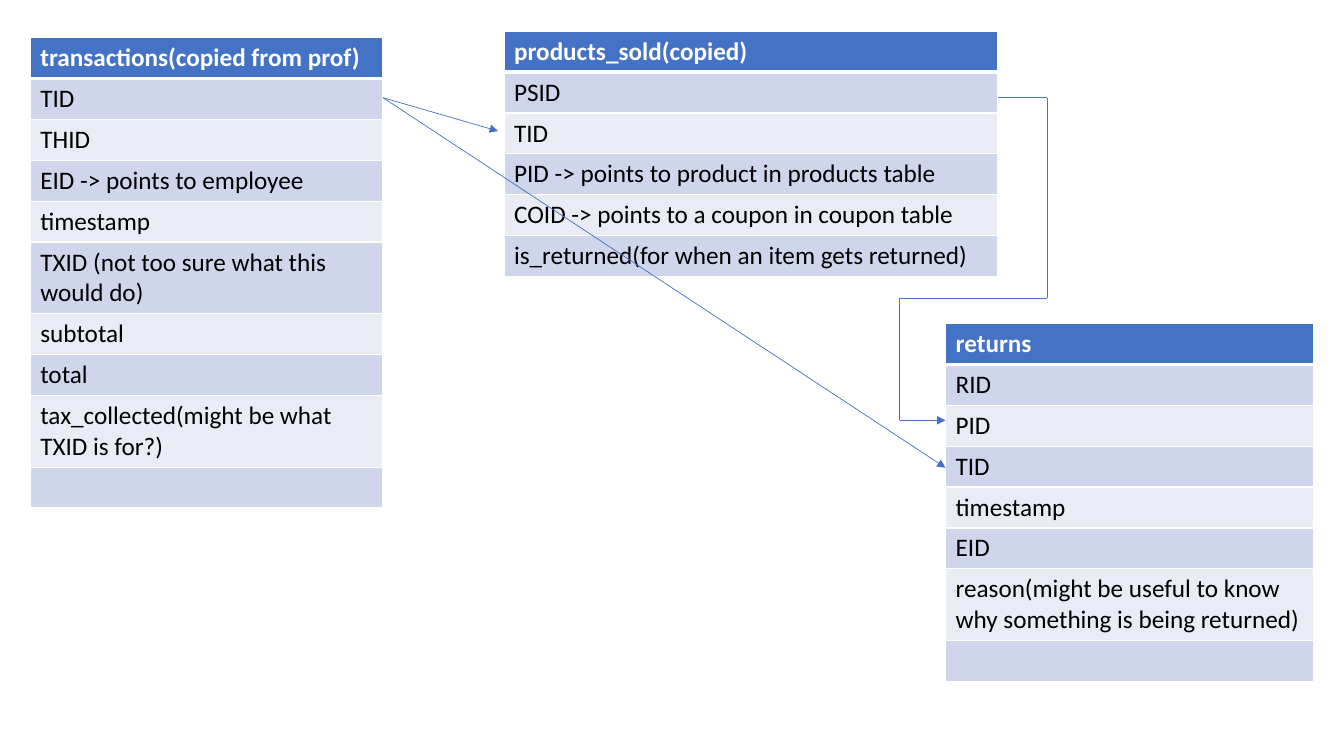
import itertools

import pptx
import pptx.dml.color
import pptx.enum.shapes
import pptx.oxml
import pptx.oxml.ns
import pptx.util

Pt = pptx.util.Pt
BLUE, WHITE, BLACK = "4472C4", "FFFFFF", "000000"
BANDS = ("CFD5EA", "E9EBF5")
ROW, TALL = 29.2, 51.2
THIN, THICK = 1, 3

SALES = [
    "transactions(copied from prof)", "TID", "THID",
    "EID -> points to employee", "timestamp",
    "TXID (not too sure what this would do)", "subtotal", "total",
    "tax_collected(might be what TXID is for?)", "",
]
SOLD = [
    "products_sold(copied)", "PSID", "TID",
    "PID -> points to product in products table",
    "COID -> points to a coupon in coupon table",
    "is_returned(for when an item gets returned)",
]
RETURNS = [
    "returns", "RID", "PID", "TID", "timestamp", "EID",
    "reason(might be useful to know why something is being returned)", "",
]


def color(code):
    return pptx.dml.color.RGBColor.from_string(code)


def add_xml(parent, tag, inner="", attrs=""):
    space = pptx.oxml.ns.nsdecls("a")
    parent.append(pptx.oxml.parse_xml(
        f"<a:{tag} {space} {attrs}>{inner}</a:{tag}>"))


def style_cell(cell, fill, ink, bold, top, bottom):
    """Set borders before the fill, as the cell schema requires."""
    props = cell._tc.get_or_add_tcPr()
    paint = f'<a:solidFill><a:srgbClr val="{WHITE}"/></a:solidFill>'
    for side, width in zip("LRTB", (THIN, THIN, top, bottom)):
        add_xml(props, f"ln{side}", paint, f'w="{Pt(width)}"')
    cell.fill.solid()
    cell.fill.fore_color.rgb = color(fill)
    for run in cell.text_frame.paragraphs[0].runs:
        run.font.name = "Calibri"
        run.font.size = Pt(18)
        run.font.bold = bold
        run.font.color.rgb = color(ink)


def add_entity(slide, left, top, width, names, tall=()):
    """Draw one database table; tall lists the rows that wrap."""
    sizes = [TALL if i in tall else ROW for i in range(len(names))]
    frame = slide.shapes.add_table(
        len(names), 1, Pt(left), Pt(top), Pt(width), Pt(sum(sizes)))
    grid = frame.table
    for i, (name, size) in enumerate(zip(names, sizes)):
        grid.rows[i].height = Pt(size)
        cell = grid.cell(i, 0)
        cell.text_frame.text = name
        if i == 0:
            style_cell(cell, BLUE, WHITE, True, THIN, THICK)
        else:
            upper = THICK if i == 1 else THIN
            style_cell(cell, BANDS[(i - 1) % 2], BLACK, False, upper, THIN)


def add_route(slide, *points):
    """Join the points with straight lines, with an arrow at the last."""
    for start, end in itertools.pairwise(points):
        line = slide.shapes.add_connector(
            pptx.enum.shapes.MSO_CONNECTOR.STRAIGHT,
            *(Pt(value) for value in start + end))
        line.line.color.rgb = color(BLUE)
        line.line.width = Pt(0.5)
        if end == points[-1]:
            add_xml(line.line._get_or_add_ln(), "tailEnd",
                    attrs='type="triangle"')
        add_xml(line._element.spPr, "effectLst")


def build_schema(slide):
    sales, sold, back = (21.6, 26.9, 252), (360, 22.3, 352.8), (675.4, 231.1, 262.8)
    key = 69.8
    source = (sales[0] + sales[2], key)
    edge = sold[0] + sold[2]
    outer, inner = edge + 35.3, back[0] - 32.8
    gap, target = back[1] - 18, back[1] + 69.1

    add_entity(slide, *sales, SALES, tall=(5, 8))
    add_entity(slide, *sold, SOLD)
    add_route(slide, source, (sold[0] - 4.3, 93.6))
    add_entity(slide, *back, RETURNS, tall=(6,))
    add_route(slide, source, (back[0], back[1] + 103))
    add_route(slide, (edge, key), (outer, key), (outer, gap),
              (inner, gap), (inner, target), (back[0], target))


def main():
    deck = pptx.Presentation()
    deck.slide_width, deck.slide_height = Pt(960), Pt(540)
    build_schema(deck.slides.add_slide(deck.slide_layouts[6]))
    deck.save("out.pptx")


if __name__ == "__main__":
    main()
